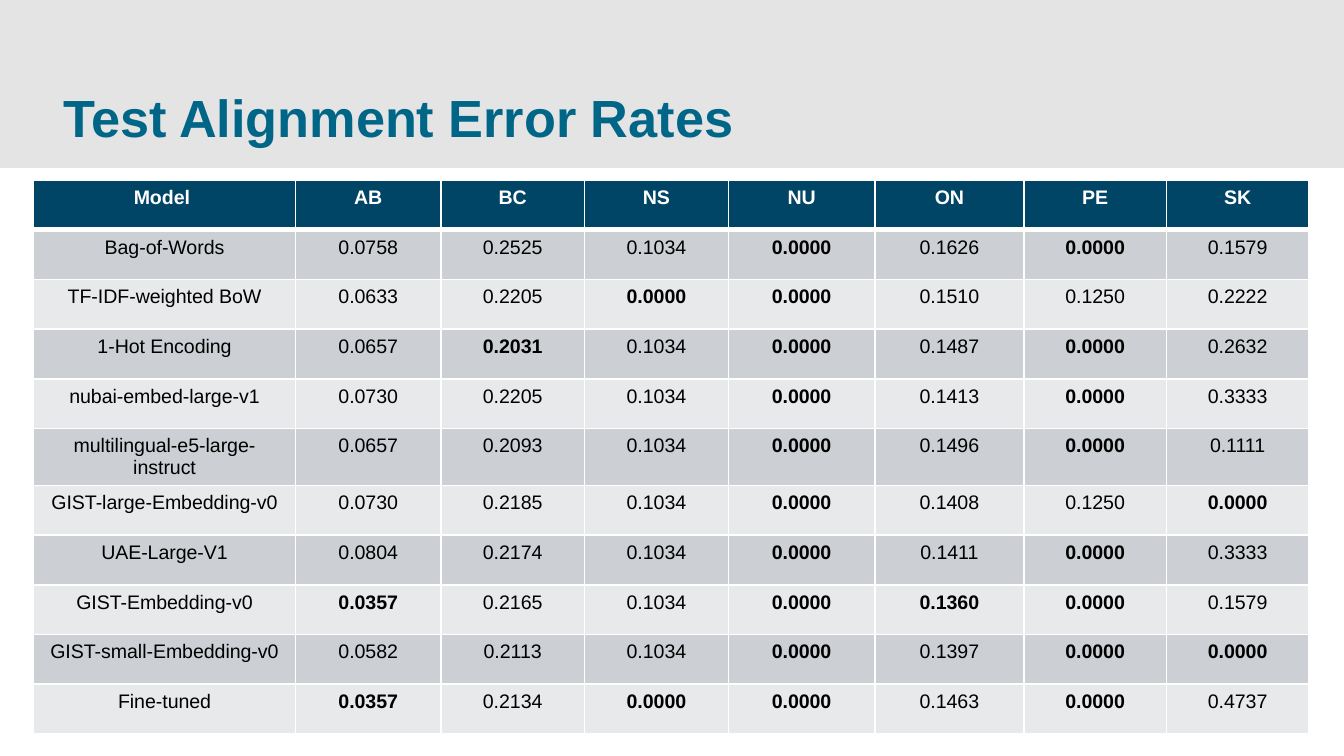
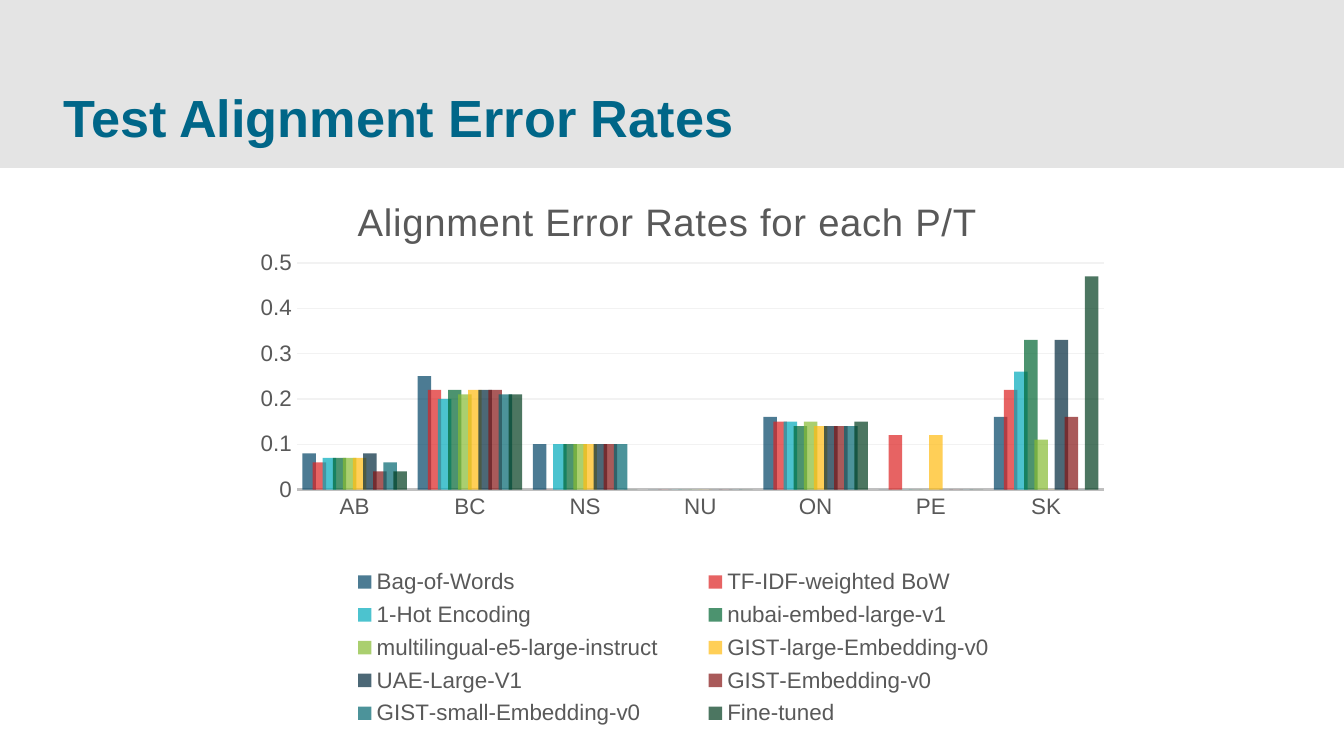
import dataclasses

import lxml.etree
import pptx
import pptx.chart.chart
import pptx.chart.data
import pptx.dml.color
import pptx.enum.chart
import pptx.enum.shapes
import pptx.enum.text
import pptx.oxml
import pptx.oxml.ns
import pptx.presentation
import pptx.slide
import pptx.table
import pptx.text.text
import pptx.util

Inches = pptx.util.Inches
Pt = pptx.util.Pt

FONT = "Arial"
WHITE, BLACK, GREY = "FFFFFF", "000000", "595959"
BAND, TITLE, HEAD = "E4E4E4", "006688", "004466"
ROWS = ("CCCFD3", "E7E9EA")
PLACES = ("AB", "BC", "NS", "NU", "ON", "PE", "SK")
WIDTHS = (1.95, 1.08, 1.07, 1.07, 1.09, 1.11, 1.06, 1.06)


@dataclasses.dataclass(frozen=True)
class Model:
    name: str
    color: str
    rates: tuple[float, ...]


MODELS = (
    Model("Bag-of-Words", "004466",
          (0.0758, 0.2525, 0.1034, 0, 0.1626, 0, 0.1579)),
    Model("TF-IDF-weighted BoW", "DD2222",
          (0.0633, 0.2205, 0, 0, 0.1510, 0.1250, 0.2222)),
    Model("1-Hot Encoding", "00AABB",
          (0.0657, 0.2031, 0.1034, 0, 0.1487, 0, 0.2632)),
    Model("nubai-embed-large-v1", "006633",
          (0.0730, 0.2205, 0.1034, 0, 0.1413, 0, 0.3333)),
    Model("multilingual-e5-large-instruct", "87BB33",
          (0.0657, 0.2093, 0.1034, 0, 0.1496, 0, 0.1111)),
    Model("GIST-large-Embedding-v0", "FFBB11",
          (0.0730, 0.2185, 0.1034, 0, 0.1408, 0.1250, 0)),
    Model("UAE-Large-V1", "00293D",
          (0.0804, 0.2174, 0.1034, 0, 0.1411, 0, 0.3333)),
    Model("GIST-Embedding-v0", "851414",
          (0.0357, 0.2165, 0.1034, 0, 0.1360, 0, 0.1579)),
    Model("GIST-small-Embedding-v0", "006670",
          (0.0582, 0.2113, 0.1034, 0, 0.1397, 0, 0)),
    Model("Fine-tuned", "003D1F",
          (0.0357, 0.2134, 0, 0, 0.1463, 0, 0.4737)),
)


def rgb(code: str) -> pptx.dml.color.RGBColor:
    return pptx.dml.color.RGBColor.from_string(code)


def style(font: pptx.text.text.Font, size: float, color: str,
          bold: bool = False) -> None:
    font.name, font.size, font.bold = FONT, Pt(size), bold
    font.color.rgb = rgb(color)


def add_band(slide: pptx.slide.Slide) -> None:
    """Put the top band on the slide's layout, behind all else."""
    band = slide.shapes.add_shape(pptx.enum.shapes.MSO_SHAPE.RECTANGLE,
                                  0, 0, Inches(10), Inches(1.25))
    band.shadow.inherit = False
    band.fill.solid()
    band.fill.fore_color.rgb = rgb(BAND)
    band.line.fill.background()
    slide.slide_layout.shapes.element.insert(2, band.element)


def add_slide(deck: pptx.presentation.Presentation,
              text: str) -> pptx.slide.Slide:
    slide = deck.slides.add_slide(deck.slide_layouts[5])
    title = slide.shapes.title
    title.left, title.top = Inches(0.47), Inches(0.28)
    title.width, title.height = Inches(8.95), Inches(0.82)
    frame = title.text_frame
    frame.text = text
    frame.auto_size = pptx.enum.text.MSO_AUTO_SIZE.NONE
    frame.vertical_anchor = pptx.enum.text.MSO_ANCHOR.BOTTOM
    frame.margin_left = frame.margin_right = 0
    frame.margin_top = frame.margin_bottom = 0
    line = frame.paragraphs[0]
    line.alignment = pptx.enum.text.PP_ALIGN.LEFT
    style(line.runs[0].font, 28, TITLE, True)
    return slide


def edge(cell: pptx.table._Cell, top: float, base: float) -> None:
    """Draw white cell borders; top and base are widths in points."""
    props = cell._tc.get_or_add_tcPr()
    for side, width in (("L", 1), ("R", 1), ("T", top), ("B", base)):
        props.append(pptx.oxml.parse_xml(
            f'<a:ln{side} {pptx.oxml.ns.nsdecls("a")} w="{Pt(width)}">'
            f'<a:solidFill><a:srgbClr val="{WHITE}"/></a:solidFill>'
            f'</a:ln{side}>'))


def fill_cell(cell: pptx.table._Cell, text: str, row: int,
              bold: bool) -> None:
    edge(cell, 3 if row == 1 else 1, 3 if row == 0 else 1)
    cell.fill.solid()
    cell.fill.fore_color.rgb = rgb(ROWS[(row - 1) % 2] if row else HEAD)
    cell.text_frame.text = text
    line = cell.text_frame.paragraphs[0]
    line.alignment = pptx.enum.text.PP_ALIGN.CENTER
    style(line.runs[0].font, 10.5, BLACK if row else WHITE, bold)


def add_rates(slide: pptx.slide.Slide) -> None:
    """Tabulate the rates, with the lowest of each column in bold."""
    count = len(MODELS) + 1
    table = slide.shapes.add_table(
        count, len(WIDTHS), Inches(0.25), Inches(1.34),
        Inches(sum(WIDTHS)), Inches(0.37 * count)).table
    for column, width in zip(table.columns, WIDTHS):
        column.width = Inches(width)
    for col, text in enumerate(("Model ", *PLACES)):
        fill_cell(table.cell(0, col), text, 0, True)
    best = [min(rates) for rates in zip(*(m.rates for m in MODELS))]
    for row, model in enumerate(MODELS, 1):
        fill_cell(table.cell(row, 0), model.name, row, False)
        for col, (rate, low) in enumerate(zip(model.rates, best), 1):
            fill_cell(table.cell(row, col), f"{rate:.4f}", row, rate == low)


def place(chart: pptx.chart.chart.Chart, part: str, index: int,
          **spots: float) -> None:
    """Set a chart part's layout, in shares of the chart's size."""
    node = chart.element.xpath(f"c:chart/c:{part}")[0]
    for old in node.xpath("c:layout"):
        node.remove(old)
    modes = '<c:layoutTarget val="inner"/>' if part == "plotArea" else ""
    modes += '<c:xMode val="edge"/><c:yMode val="edge"/>'
    sizes = "".join(f'<c:{key} val="{val}"/>' for key, val in spots.items())
    node.insert(index, pptx.oxml.parse_xml(
        f'<c:layout {pptx.oxml.ns.nsdecls("c")}><c:manualLayout>'
        f'{modes}{sizes}</c:manualLayout></c:layout>'))


def style_axes(chart: pptx.chart.chart.Chart) -> None:
    names, scale = chart.category_axis, chart.value_axis
    for axis in (names, scale):
        axis.major_tick_mark = pptx.enum.chart.XL_TICK_MARK.NONE
        axis.minor_tick_mark = pptx.enum.chart.XL_TICK_MARK.NONE
        style(axis.tick_labels.font, 12, GREY)
    names.format.line.color.rgb = rgb("BFBFBF")
    names.format.line.width = Pt(1.25)
    scale.format.line.fill.background()
    scale.minimum_scale, scale.maximum_scale = 0, 0.5
    scale.major_unit = 0.1
    scale.has_major_gridlines = True
    grid = scale.major_gridlines.format.line
    grid.color.rgb, grid.width = rgb("F2F2F2"), Pt(0.75)


def add_chart(slide: pptx.slide.Slide) -> None:
    data = pptx.chart.data.CategoryChartData()
    data.categories = PLACES
    for model in MODELS:
        data.add_series(model.name, [round(rate, 2) for rate in model.rates])
    chart = slide.shapes.add_chart(
        pptx.enum.chart.XL_CHART_TYPE.COLUMN_CLUSTERED, Inches(1.61),
        Inches(1.29), Inches(6.67), Inches(4.44), data).chart
    style(chart.font, 10, BLACK)
    style_axes(chart)

    plot = chart.plots[0]
    plot.gap_width, plot.overlap = 80, 25
    plot.vary_by_categories = False
    for series, model in zip(plot.series, MODELS):
        series.format.fill.solid()
        series.format.fill.fore_color.rgb = rgb(model.color)
    for color in chart.element.xpath(".//c:ser/c:spPr//a:srgbClr"):
        lxml.etree.SubElement(color, pptx.oxml.ns.qn("a:alpha"), val="70000")

    chart.has_title = True
    frame = chart.chart_title.text_frame
    frame.text = "Alignment Error Rates for each P/T"
    font = frame.paragraphs[0].runs[0].font
    style(font, 20.5, GREY)
    font._element.set("spc", "50")

    chart.has_legend = True
    chart.legend.position = pptx.enum.chart.XL_LEGEND_POSITION.BOTTOM
    chart.legend.include_in_layout = False
    style(chart.legend.font, 12, GREY)

    place(chart, "title", 1, x=0.15, y=0.03)
    place(chart, "plotArea", 0, x=0.09, y=0.15, w=0.9, h=0.38)
    place(chart, "legend", 1, x=0.11, y=0.65, w=0.8, h=0.29)


def main() -> None:
    deck = pptx.Presentation()
    deck.slide_width = Inches(10)
    deck.slide_height = deck.slide_width * 9 // 16
    first, second = (add_slide(deck, "Test Alignment Error Rates")
                     for _ in range(2))
    add_band(first)
    add_rates(first)
    add_chart(second)
    deck.save("out.pptx")


if __name__ == "__main__":
    main()
